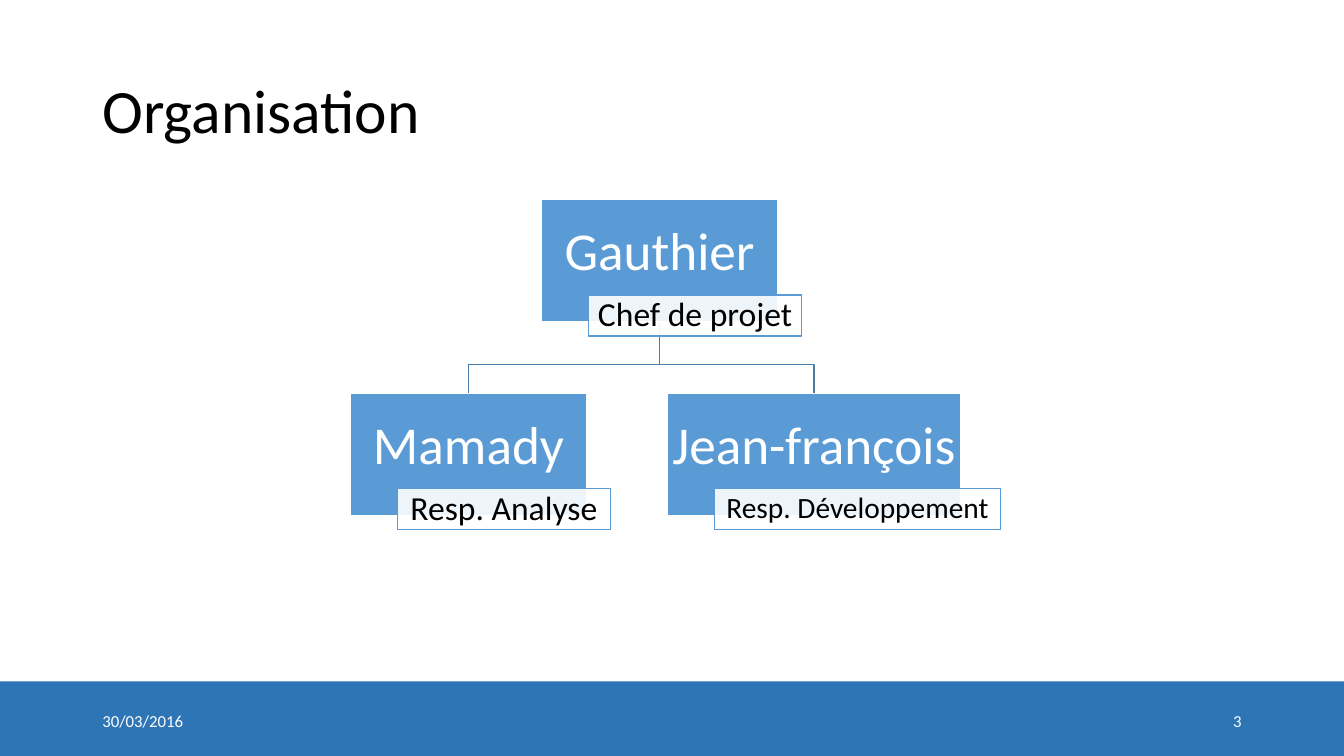
import pptx
import pptx.util
import pptx.dml.color
import pptx.enum.shapes
import pptx.enum.text
import pptx.oxml

Pt = pptx.util.Pt
RECT = pptx.enum.shapes.MSO_SHAPE.RECTANGLE
ALIGN = pptx.enum.text.PP_ALIGN
MIDDLE = pptx.enum.text.MSO_ANCHOR.MIDDLE


def tint(target, color):
    if hasattr(target, "solid"):
        target.solid()
        target = target.fore_color
    target.rgb = pptx.dml.color.RGBColor.from_string(color)


def write(shape, text, size, color, align, pads, space=1.0):
    frame = shape.text_frame
    left, top, right, bottom = pads
    style = {
        "word_wrap": True,
        "vertical_anchor": MIDDLE,
        "margin_left": Pt(left),
        "margin_top": Pt(top),
        "margin_right": Pt(right),
        "margin_bottom": Pt(bottom),
    }
    for key, value in style.items():
        setattr(frame, key, value)
    para = frame.paragraphs[0]
    para.text = text
    para.alignment = align
    para.line_spacing = space
    for key, value in {"name": "Calibri", "size": Pt(size)}.items():
        setattr(para.font, key, value)
    tint(para.font.color, color)


deck = pptx.Presentation()
deck.slide_width = Pt(960)
deck.slide_height = Pt(540)
slide = deck.slides.add_slide(deck.slide_layouts[6])
shapes = slide.shapes

band = shapes.add_shape(RECT, 0, Pt(486.7), Pt(960), Pt(53.3))
band.shadow.inherit = False
tint(band.fill, "2E75B6")
band.line.fill.background()

labels = [
    ("Organisation", 66, 28.8, 828, 104.4, 44, "000000", ALIGN.LEFT, 0.9),
    ("30/03/2016", 66, 500.6, 216, 28.8, 12, "FFFFFF", ALIGN.LEFT, 1.0),
    ("3", 678, 500.6, 216, 28.8, 12, "FFFFFF", ALIGN.RIGHT, 1.0),
]
for text, left, top, width, height, size, color, align, space in labels:
    box = shapes.add_textbox(Pt(left), Pt(top), Pt(width), Pt(height))
    write(box, text, size, color, align, (7.2, 3.6, 7.2, 3.6), space)

HIGH = 87.5
TAG_HIGH = 29.5
people = [
    ("Gauthier", "Chef de projet", 386.7, 142.6, 169, 152, 24, (5, 1.2, 5, 1.2)),
    ("Mamady", "Resp. Analyse", 250.2, 280.9, 169, 152, 24, (5, 1.2, 5, 1.2)),
    ("Jean-françois", "Resp. Développement", 476.7, 280.9, 209.5, 204, 21, (4, 1, 4, 1)),
]

lead, *team = people
start = lead[2] + lead[4] / 2
base = lead[3] + HIGH
for person in reversed(team):
    end = person[2] + person[4] / 2
    top = person[3]
    bend = top - 20.3
    path = shapes.build_freeform(Pt(start), Pt(base))
    points = [(start, bend), (end, bend), (end, top)]
    path.add_line_segments([(Pt(x), Pt(y)) for x, y in points], close=False)
    link = path.convert_to_shape()
    link.shadow.inherit = False
    link.fill.background()
    tint(link.line.fill, "497CAB")
    link.line.width = Pt(1)

for name, role, left, top, width, span, size, pads in people:
    card = shapes.add_shape(RECT, Pt(left), Pt(top), Pt(width), Pt(HIGH))
    tag = shapes.add_shape(RECT, Pt(left + 33.8), Pt(top + 68), Pt(span), Pt(TAG_HIGH))
    for shape, fill, line in [(card, "5B9BD5", "FFFFFF"), (tag, "FFFFFF", "5B9BD5")]:
        shape.shadow.inherit = False
        tint(shape.fill, fill)
        tint(shape.line.fill, line)
        shape.line.width = Pt(1)
    shade = tag.fill._xPr.find(".//" + pptx.oxml.ns.qn("a:srgbClr"))
    alpha = pptx.oxml.xmlchemy.OxmlElement("a:alpha")
    alpha.set("val", "90000")
    shade.append(alpha)
    write(card, name, 38, "FFFFFF", ALIGN.CENTER, (2, 2, 2, 12.4), 0.9)
    write(tag, role, size, "000000", ALIGN.CENTER, pads, 0.9)

deck.save("out.pptx")
